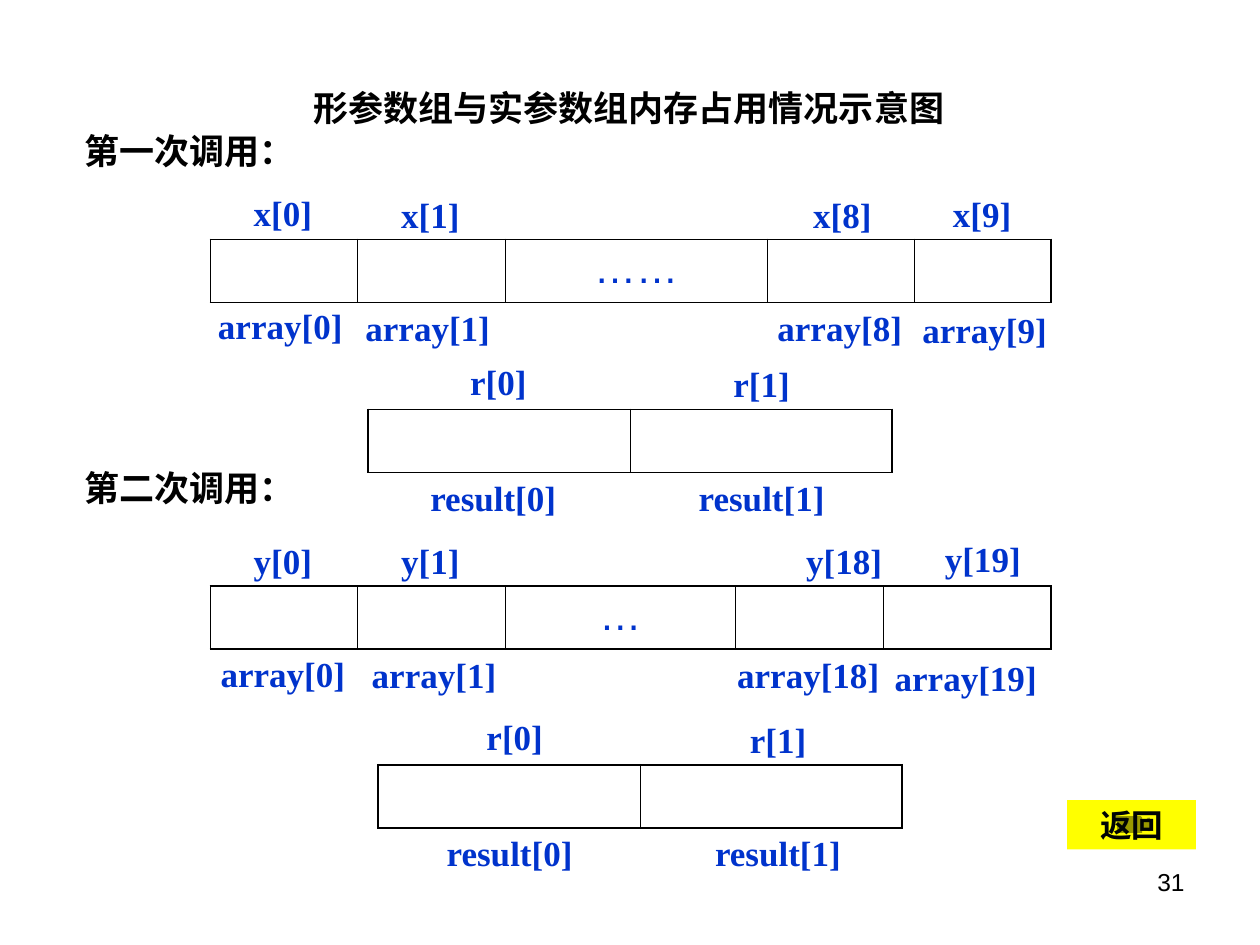
from dataclasses import dataclass

from lxml.etree import SubElement
from pptx import Presentation
from pptx.dml.color import RGBColor
from pptx.enum.shapes import MSO_SHAPE
from pptx.enum.text import MSO_ANCHOR, PP_ALIGN
from pptx.oxml import parse_xml
from pptx.oxml.ns import nsdecls, qn
from pptx.util import Inches, Pt

COLORS = {"ink": "000000", "label": "0033CC", "button": "FFFF00", "button_text": "000404"}
CJK, SERIF, SANS = "Noto Sans CJK SC", "Times New Roman", "Arial"
OUTER, INNER = 1.08, 0.45
ROW_HEIGHT = 0.5
CAPTION_HEIGHT = 0.44


@dataclass
class Caption:
    text: str
    left: float
    top: float
    width: float = 0.75


@dataclass
class MemoryRow:
    left: float
    top: float
    widths: list[float]
    captions: list[Caption]
    ellipsis: str = ""


ROWS = [
    MemoryRow(1.67, 1.9, [1.17, 1.17, 2.08, 1.17, 1.08], [
        Caption("x[0]", 1.87, 1.47), Caption("x[1]", 3.04, 1.49),
        Caption("x[8]", 6.31, 1.49), Caption("x[9]", 7.42, 1.48),
        Caption("array[0]", 1.56, 2.37, 1.33), Caption("array[1]", 2.73, 2.38, 1.33),
        Caption("array[8]", 6, 2.38, 1.33), Caption("array[9]", 7.15, 2.4, 1.33),
    ], "……"),
    MemoryRow(2.92, 3.25, [2.08, 2.08], [
        Caption("r[0]", 3.58, 2.81), Caption("r[1]", 5.67, 2.83),
        Caption("result[0]", 3.25, 3.73, 1.33), Caption("result[1]", 5.38, 3.73, 1.33),
    ]),
    MemoryRow(1.67, 4.65, [1.17, 1.17, 1.83, 1.17, 1.33], [
        Caption("y[0]", 1.87, 4.23), Caption("y[1]", 3.04, 4.23),
        Caption("y[18]", 6.26, 4.23, 0.88), Caption("y[19]", 7.36, 4.22, 0.88),
        Caption("array[0]", 1.58, 5.13, 1.33), Caption("array[1]", 2.78, 5.14, 1.33),
        Caption("array[18]", 5.75, 5.14, 1.33), Caption("array[19]", 7, 5.16, 1.33),
    ], "…"),
    MemoryRow(3, 6.07, [2.08, 2.08], [
        Caption("r[0]", 3.71, 5.63), Caption("r[1]", 5.8, 5.65),
        Caption("result[0]", 3.38, 6.55, 1.33), Caption("result[1]", 5.51, 6.55, 1.33),
    ]),
]
HEADINGS = [Caption("第一次调用：", 0.42, 0.98, 2.17), Caption("第二次调用：", 0.42, 3.65, 2.17)]


def write(frame, text: str, size: float, face: str, color: str, bold: bool = True,
          align: PP_ALIGN = PP_ALIGN.CENTER) -> None:
    frame.text = text
    paragraph = frame.paragraphs[0]
    paragraph.alignment = align
    font = paragraph.font
    font.size, font.bold, font.name = Pt(size), bold, face
    font.color.rgb = RGBColor.from_string(COLORS[color])
    defaults = paragraph._p.get_or_add_pPr().find(qn("a:defRPr"))
    SubElement(defaults, qn("a:ea"), typeface=face)


def add_caption(slide, caption: Caption, face: str, color: str) -> None:
    box = slide.shapes.add_textbox(Inches(caption.left), Inches(caption.top),
                                   Inches(caption.width), Inches(CAPTION_HEIGHT))
    box.text_frame.word_wrap = True
    write(box.text_frame, caption.text, 20, face, color)


def set_borders(cell, left: float, right: float) -> None:
    properties = cell._tc.get_or_add_tcPr()
    sides = {"lnL": left, "lnR": right, "lnT": OUTER, "lnB": OUTER}
    for position, (side, width) in enumerate(sides.items()):
        properties.insert(position, parse_xml(
            f'<a:{side} {nsdecls("a")} w="{int(Pt(width))}"><a:solidFill>'
            f'<a:srgbClr val="{COLORS["ink"]}"/></a:solidFill></a:{side}>'))


def add_memory_row(slide, row: MemoryRow) -> None:
    count = len(row.widths)
    table = slide.shapes.add_table(1, count, Inches(row.left), Inches(row.top),
                                   Inches(sum(row.widths)), Inches(ROW_HEIGHT)).table
    table.first_row = table.horz_banding = False
    for index, width in enumerate(row.widths):
        table.columns[index].width = Inches(width)
        cell = table.cell(0, index)
        cell.fill.background()
        set_borders(cell, INNER if index else OUTER, INNER if index < count - 1 else OUTER)
    if row.ellipsis:
        write(table.cell(0, count // 2).text_frame, row.ellipsis, 24, SANS, "label", False)
    for caption in row.captions:
        add_caption(slide, caption, SERIF, "label")


def add_return_button(slide) -> None:
    button = slide.shapes.add_shape(MSO_SHAPE.ACTION_BUTTON_MOVIE, Inches(8.47), Inches(6.35),
                                    Inches(1.02), Inches(0.39))
    button.shadow.inherit = False
    button.fill.solid()
    button.fill.fore_color.rgb = RGBColor.from_string(COLORS["button"])
    button.line.fill.background()
    button.text_frame.word_wrap = False
    button.text_frame.vertical_anchor = MSO_ANCHOR.MIDDLE
    write(button.text_frame, "返回", 18, SANS, "button_text")


def main() -> None:
    """Build the slide on how formal and actual arrays share memory."""
    deck = Presentation()
    deck.slide_width, deck.slide_height = Inches(10), Inches(7.5)
    slide = deck.slides.add_slide(deck.slide_layouts[5])

    title = slide.shapes.title
    title.left, title.top = Inches(1.53), Inches(0.64)
    title.width, title.height = Inches(6.92), Inches(CAPTION_HEIGHT)
    title.text_frame.vertical_anchor = MSO_ANCHOR.TOP
    write(title.text_frame, "形参数组与实参数组内存占用情况示意图", 20, CJK, "ink")

    for heading in HEADINGS:
        add_caption(slide, heading, CJK, "ink")
    for row in ROWS:
        add_memory_row(slide, row)
    add_return_button(slide)

    page_number = slide.shapes.add_textbox(Inches(7.17), Inches(6.83), Inches(2.33), Inches(0.52))
    page_number.text_frame.word_wrap = True
    write(page_number.text_frame, "31", 14, SANS, "ink", False, PP_ALIGN.RIGHT)
    deck.save("out.pptx")


if __name__ == "__main__":
    main()
